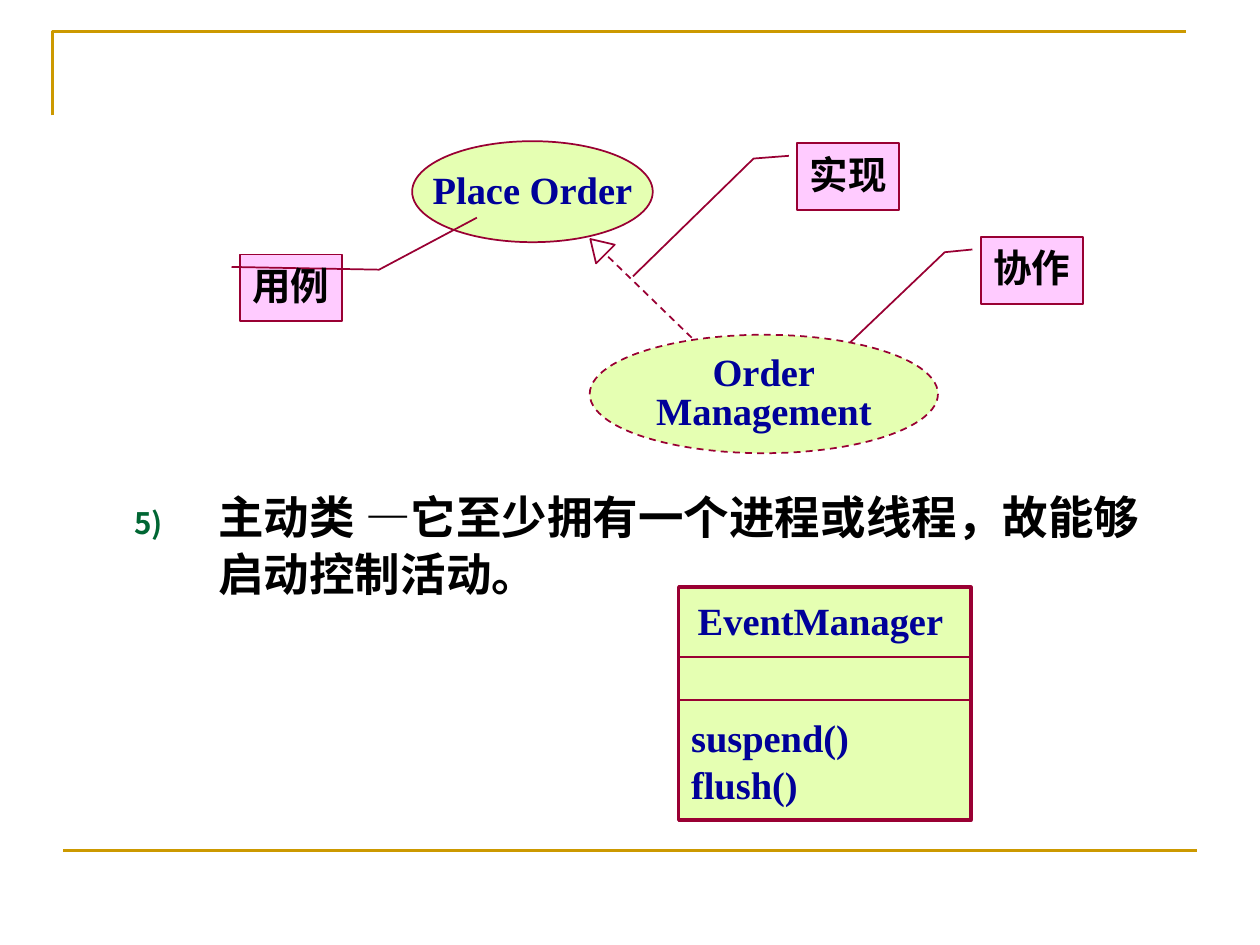
from lxml import etree
from pptx import Presentation
from pptx.dml.color import RGBColor
from pptx.enum.dml import MSO_LINE
from pptx.enum.shapes import MSO_CONNECTOR, MSO_SHAPE
from pptx.enum.text import MSO_ANCHOR, PP_ALIGN
from pptx.oxml.ns import qn
from pptx.util import Pt

STRAIGHT = MSO_CONNECTOR.STRAIGHT
DASH = MSO_LINE.DASH
ELLIPSE = MSO_SHAPE.OVAL
CALLOUT = MSO_SHAPE.LINE_CALLOUT_2
TRIANGLE = MSO_SHAPE.ISOSCELES_TRIANGLE
RECTANGLE = MSO_SHAPE.RECTANGLE
TOP, MIDDLE, BOTTOM = MSO_ANCHOR.TOP, MSO_ANCHOR.MIDDLE, MSO_ANCHOR.BOTTOM
LEFT, CENTER = PP_ALIGN.LEFT, PP_ALIGN.CENTER

GOLD = RGBColor(0xCC, 0x99, 0x00)
LIME = RGBColor(0xCC, 0xFF, 0x66)
PINK = RGBColor(0xFF, 0x99, 0xFF)
CRIMSON = RGBColor(0x99, 0x00, 0x33)
NAVY = RGBColor(0x00, 0x00, 0x99)
GREEN = RGBColor(0x00, 0x66, 0x33)
BLACK = RGBColor(0x00, 0x00, 0x00)


def write_text(shape, text, color=NAVY, size=22, font="Times New Roman", align=CENTER,
               anchor=MIDDLE, spacing=1.0, inset=7.2, wrap=False):
    frame = shape.text_frame
    frame.word_wrap = wrap
    frame.vertical_anchor = anchor
    frame.margin_left = frame.margin_right = Pt(7.2)
    frame.margin_top = frame.margin_bottom = Pt(inset)
    frame.text = text
    for paragraph in frame.paragraphs:
        paragraph.alignment = align
        paragraph.line_spacing = spacing
        for run in paragraph.runs:
            run.font.name = font
            run.font.size = Pt(size)
            run.font.bold = True
            run.font.color.rgb = color


def add_outlined_shape(kind, left, top, width, height, fill=None, weight=1):
    shape = slide.shapes.add_shape(kind, Pt(left), Pt(top), Pt(width), Pt(height))
    shape.shadow.inherit = False
    if fill is None:
        shape.fill.background()
    else:
        shape.fill.solid()
        shape.fill.fore_color.rgb = fill
        color = shape._element.spPr.find(qn("a:solidFill"))[0]
        etree.SubElement(color, qn("a:alpha"), val="50000")
    shape.line.color.rgb = CRIMSON
    shape.line.width = Pt(weight)
    return shape


presentation = Presentation()
presentation.slide_width = Pt(720)
presentation.slide_height = Pt(540)
slide = presentation.slides.add_slide(presentation.slide_layouts[6])

builder = slide.shapes.build_freeform(Pt(30), Pt(66))
builder.add_line_segments([(Pt(30), Pt(18)), (Pt(678), Pt(18))], close=False)
corner_rule = builder.convert_to_shape()
corner_rule.shadow.inherit = False
corner_rule.fill.background()
corner_rule.line.color.rgb = GOLD
corner_rule.line.width = Pt(1.5)

use_case = add_outlined_shape(ELLIPSE, 235.5, 80.7, 137.5, 57.7, LIME)
write_text(use_case, "Place Order", spacing=0.9)

collaboration = add_outlined_shape(ELLIPSE, 337, 191.3, 199, 67.7, LIME)
collaboration.line.dash_style = DASH
write_text(collaboration, "Order\nManagement", spacing=0.85)

arrowhead = add_outlined_shape(TRIANGLE, 334.1, 134.8, 15.1, 12.2)
arrowhead.rotation = 315

callouts = [
    ("用例", 137.1, 145.4, (1.364, -0.549, 2.322)),
    ("协作", 560.5, 135.4, (-0.354, 1.572, -1.277)),
    ("实现", 455.6, 81.9, (-0.429, 1.99, -1.611)),
]
for label, left, top, (bend_x, end_y, end_x) in callouts:
    callout = add_outlined_shape(CALLOUT, left, top, 58.3, 38.2, PINK)
    for index, value in enumerate((0.188, -0.083, 0.229, bend_x, end_y, end_x)):
        callout.adjustments[index] = value
    write_text(callout, label, color=BLACK, spacing=0.9)

body = slide.shapes.add_textbox(Pt(69.8), Pt(274.3), Pt(604.8), Pt(76))
write_text(body, "主动类 —它至少拥有一个进程或线程，故能够启动控制活动。", color=BLACK, size=26,
           font="Arial", align=LEFT, anchor=TOP, spacing=1.05, inset=3.6, wrap=True)
properties = body.text_frame.paragraphs[0]._p.get_or_add_pPr()
properties.set("marL", str(Pt(48)))
properties.set("indent", str(-Pt(48)))
bullet_color = etree.SubElement(properties, qn("a:buClr"))
etree.SubElement(bullet_color, qn("a:srgbClr"), val=str(GREEN))
etree.SubElement(properties, qn("a:buSzPct"), val="65000")
etree.SubElement(properties, qn("a:buAutoNum"), type="arabicParenR", startAt="5")

active_class = add_outlined_shape(RECTANGLE, 387.8, 335.5, 167, 133.2, LIME, weight=2)
write_text(active_class, "suspend()\nflush()", align=LEFT, anchor=BOTTOM, inset=7.7)

class_name = slide.shapes.add_textbox(Pt(391.4), Pt(337.7), Pt(154.8), Pt(33.8))
write_text(class_name, "EventManager", anchor=TOP, inset=3.6)

lines = [
    (36, 486, 684, 486, GOLD, 1.5, None),
    (395.3, 193, 347, 146.2, CRIMSON, 1, DASH),
    (388, 375.3, 555, 375.3, CRIMSON, 1, None),
    (388, 399.8, 555, 399.8, CRIMSON, 1, None),
]
for start_x, start_y, end_x, end_y, color, weight, dash in lines:
    connector = slide.shapes.add_connector(STRAIGHT, Pt(start_x), Pt(start_y), Pt(end_x), Pt(end_y))
    connector.line.color.rgb = color
    connector.line.width = Pt(weight)
    if dash:
        connector.line.dash_style = dash
    etree.SubElement(connector._element.spPr, qn("a:effectLst"))

presentation.save("out.pptx")
